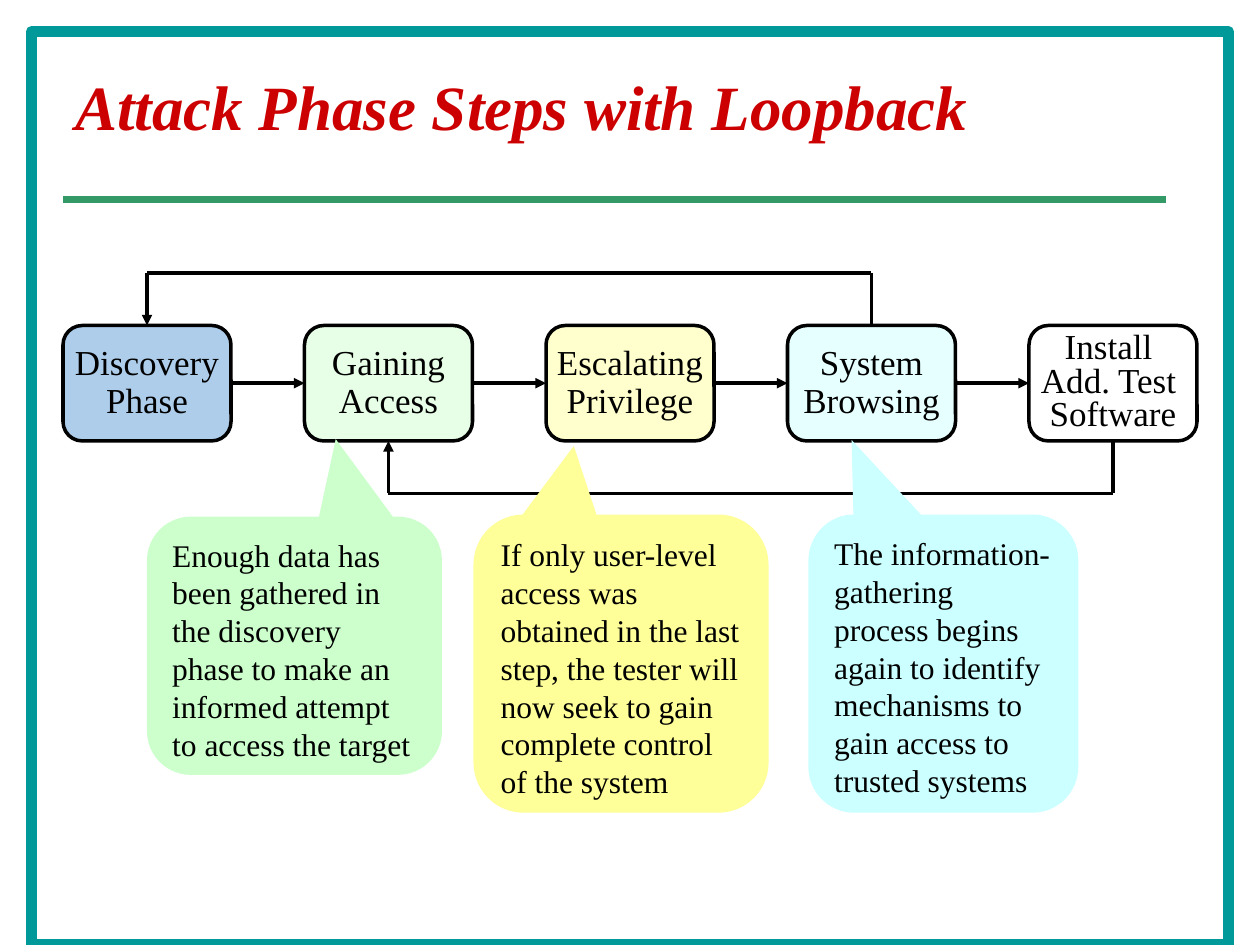
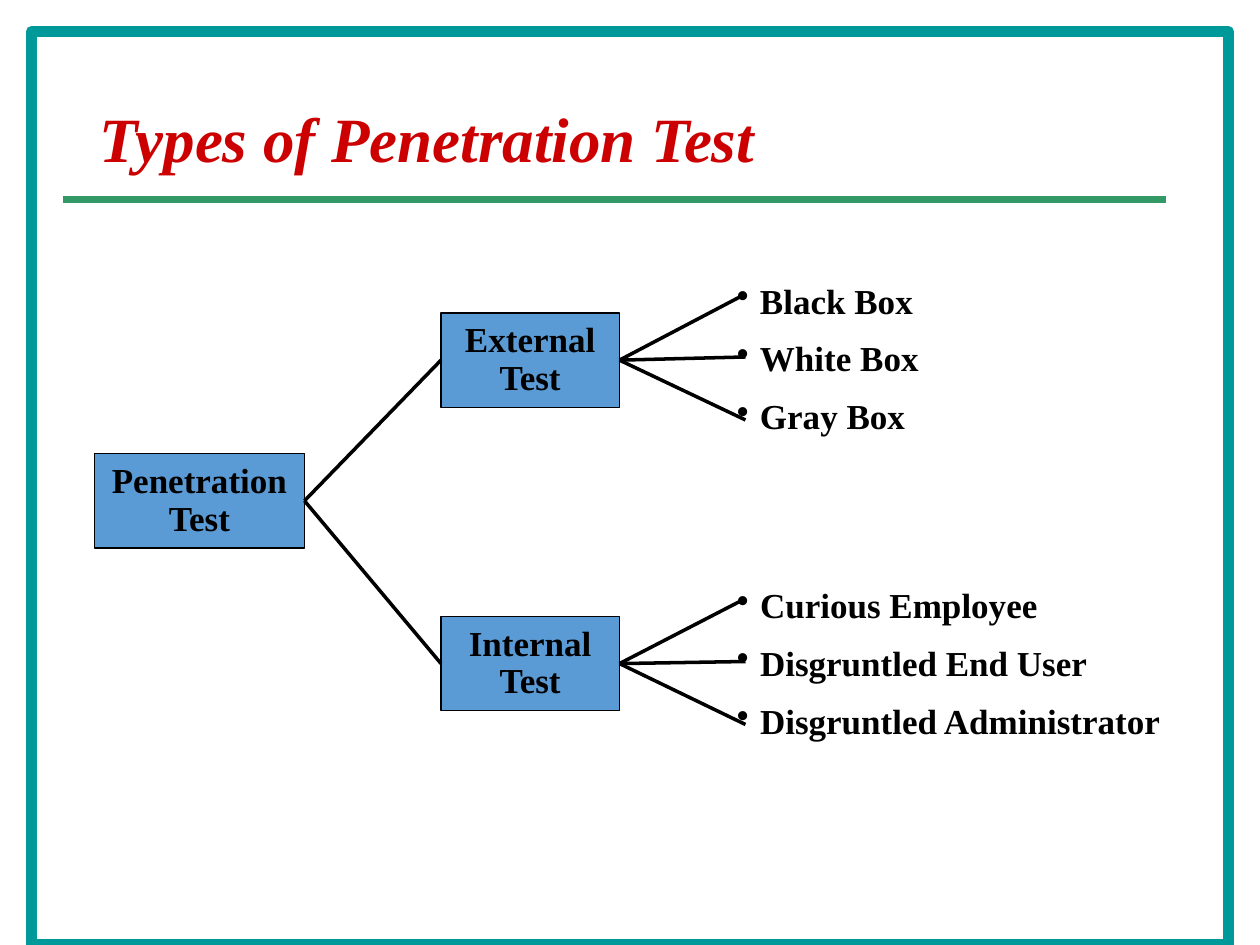
import dataclasses
import typing

import lxml.etree
import pptx
import pptx.dml.color
import pptx.enum.shapes
import pptx.enum.text
import pptx.oxml.ns
import pptx.shapes.autoshape
import pptx.shapes.connector
import pptx.slide
import pptx.util

SCALE = 7620
FONT = "Times New Roman"
COLORS = {
    "frame": "009999", "title": "CC0000", "rule": "339966", "ink": "000000",
    "blue": "5B9BD5", "green": "CCFFCC", "yellow": "FFFF99", "cyan": "CCFFFF",
}
TOP, LEFT, BOTTOM, RIGHT = range(4)
KIND = pptx.enum.shapes.MSO_SHAPE
ALIGN = pptx.enum.text.PP_ALIGN
ANCHOR = pptx.enum.text.MSO_ANCHOR
Slide = pptx.slide.Slide
Shape = pptx.shapes.autoshape.Shape


class Rect(typing.NamedTuple):
    x: int
    y: int
    w: int
    h: int


class Point(typing.NamedTuple):
    x: int
    y: int


class Port(typing.NamedTuple):
    shape: Shape
    side: int


@dataclasses.dataclass
class Style:
    size: int = 20
    color: str = "ink"
    bold: bool = False
    italic: bool = False
    align: ALIGN = ALIGN.LEFT
    spacing: float = 1.0


@dataclasses.dataclass
class Step:
    text: str
    fill: typing.Optional[str]
    spacing: float = 0.9


@dataclasses.dataclass
class Note:
    text: str
    rect: Rect
    fill: str
    tip: tuple[float, float]


@dataclasses.dataclass
class Branch:
    text: str
    top: int
    list_top: int
    width: int
    items: list[str]


STEPS = [
    Step("Discovery\nPhase", "blue"),
    Step("Gaining\nAccess", "green"),
    Step("Escalating\nPrivilege", "yellow"),
    Step("System\nBrowsing", "cyan"),
    Step("Install \nAdd. Test \nSoftware", None, 0.8),
]
NOTES = [
    Note("Enough data has been gathered in the discovery phase to make an "
         "informed attempt to access the target",
         Rect(140, 492, 281, 246), "green", (0.14, -0.8)),
    Note("If only user-level access was obtained in the last step, the tester "
         "will now seek to gain complete control of the system",
         Rect(451, 490, 281, 284), "yellow", (-0.16, -0.73)),
    Note("The information-gathering process begins again to identify "
         "mechanisms to gain access to trusted systems",
         Rect(770, 490, 257, 284), "cyan", (-0.34, -0.75)),
]
BRANCHES = [
    Branch("External\nTest", 298, 260, 197,
           ["Black Box", "White Box", "Gray Box"]),
    Branch("Internal\nTest", 587, 550, 428,
           ["Curious Employee", "Disgruntled End User",
            "Disgruntled Administrator"]),
]


def px(*sizes: int) -> list[pptx.util.Emu]:
    return [pptx.util.Emu(size * SCALE) for size in sizes]


def paint(name: str) -> pptx.dml.color.RGBColor:
    return pptx.dml.color.RGBColor.from_string(COLORS[name])


def child(node: typing.Any, tag: str, **attrs: str) -> None:
    lxml.etree.SubElement(node, pptx.oxml.ns.qn(tag), attrs)


def write(shape: Shape, text: str, style: Style, wrap: bool = True) -> None:
    frame = shape.text_frame
    frame.text = text
    frame.word_wrap = wrap
    for para in frame.paragraphs:
        para.alignment = style.align
        para.line_spacing = style.spacing
        for run in para.runs:
            font = run.font
            font.name = FONT
            font.size = pptx.util.Pt(style.size)
            font.bold = style.bold
            font.italic = style.italic
            font.color.rgb = paint(style.color)


def draw(slide: Slide, kind: KIND, rect: Rect, fill: typing.Optional[str],
         line: typing.Optional[str] = None, width: float = 0) -> Shape:
    shape = slide.shapes.add_shape(kind, *px(*rect))
    shape.shadow.inherit = False
    if fill:
        shape.fill.solid()
        shape.fill.fore_color.rgb = paint(fill)
    else:
        shape.fill.background()
    if line:
        shape.line.color.rgb = paint(line)
        shape.line.width = pptx.util.Pt(width)
    else:
        shape.line.fill.background()
    return shape


def label(shape: Shape, text: str, bold: bool, spacing: float = 0.9) -> None:
    style = Style(bold=bold, align=ALIGN.CENTER, spacing=spacing)
    write(shape, text, style, wrap=False)
    shape.text_frame.vertical_anchor = ANCHOR.MIDDLE


def spot(end: Point | Port) -> list[int]:
    if isinstance(end, Point):
        return px(*end)
    box = end.shape
    across = {LEFT: 0, RIGHT: box.width}.get(end.side, box.width // 2)
    down = {TOP: 0, BOTTOM: box.height}.get(end.side, box.height // 2)
    return [box.left + across, box.top + down]


def link(slide: Slide, start: Point | Port, end: Point | Port,
         arrow: bool = False, color: str = "ink", width: float = 2) -> None:
    line = slide.shapes.add_connector(
        pptx.enum.shapes.MSO_CONNECTOR.STRAIGHT, *spot(start), *spot(end))
    if isinstance(start, Port):
        line.begin_connect(*start)
    if isinstance(end, Port):
        line.end_connect(*end)
    line.line.color.rgb = paint(color)
    line.line.width = pptx.util.Pt(width)
    if arrow:
        child(line.line._get_or_add_ln(), "a:tailEnd", type="triangle")
    child(line._element.spPr, "a:effectLst")


def start(deck: typing.Any, title: str, rect: Rect) -> Slide:
    slide = deck.slides.add_slide(deck.slide_layouts[6])
    draw(slide, KIND.RECTANGLE, Rect(30, 30, 1140, 870), None, "frame", 6.25)
    box = slide.shapes.add_textbox(*px(*rect))
    style = Style(36, "title", bold=True, italic=True, spacing=0.9)
    write(box, title, style)
    box.text_frame.vertical_anchor = ANCHOR.MIDDLE
    link(slide, Point(60, 190), Point(1110, 190), color="rule", width=4)
    return slide


def loop(slide: Slide, source: Port, target: Port, level: int) -> None:
    turns = [Point(spot(port)[0] // SCALE, level) for port in (source, target)]
    link(slide, source, turns[0])
    link(slide, *turns)
    link(slide, turns[1], target, arrow=True)


def stage(slide: Slide, step: Step, index: int) -> Shape:
    rect = Rect(60 + 230 * index, 310, 160, 110)
    box = draw(slide, KIND.ROUNDED_RECTANGLE, rect, step.fill, "ink", 2)
    if step.fill:
        tint = box._element.spPr.find(
            "/".join(map(pptx.oxml.ns.qn, ("a:solidFill", "a:srgbClr"))))
        child(tint, "a:alpha", val="49000")
    label(box, step.text, False, step.spacing)
    return box


def callout(slide: Slide, note: Note) -> None:
    shape = draw(slide, KIND.ROUNDED_RECTANGULAR_CALLOUT, note.rect, note.fill)
    for index, value in enumerate((*note.tip, 0.17)):
        shape.adjustments[index] = value
    write(shape, note.text, Style(18))
    shape.text_frame.vertical_anchor = ANCHOR.TOP


def node(slide: Slide, text: str, rect: Rect) -> Shape:
    box = draw(slide, KIND.RECTANGLE, rect, "blue", "ink", 0.75)
    label(box, text, True)
    return box


def bullets(slide: Slide, branch: Branch) -> None:
    rect = Rect(690, branch.list_top, branch.width, 164)
    box = slide.shapes.add_textbox(*px(*rect))
    write(box, "\n".join(branch.items), Style(bold=True), wrap=False)
    indent = 22 * SCALE
    for index, para in enumerate(box.text_frame.paragraphs):
        para.space_before = pptx.util.Pt(9 if index else 0)
        props = para._p.get_or_add_pPr()
        props.set("marL", str(indent))
        props.set("indent", str(-indent))
        child(props, "a:buChar", char="•")


def attack(deck: typing.Any) -> None:
    slide = start(deck, "Attack Phase Steps with Loopback",
                  Rect(60, 50, 1080, 110))
    boxes = [stage(slide, step, index) for index, step in enumerate(STEPS)]
    for left, right in zip(boxes, boxes[1:]):
        link(slide, Port(left, RIGHT), Port(right, LEFT), arrow=True)
    loop(slide, Port(boxes[3], TOP), Port(boxes[0], TOP), 260)
    loop(slide, Port(boxes[4], BOTTOM), Port(boxes[1], BOTTOM), 470)
    for note in NOTES:
        callout(slide, note)


def types(deck: typing.Any) -> None:
    slide = start(deck, "Types of Penetration Test", Rect(83, 48, 1034, 174))
    root = node(slide, "Penetration\nTest", Rect(90, 432, 200, 90))
    for branch in BRANCHES:
        box = node(slide, branch.text, Rect(420, branch.top, 170, 90))
        bullets(slide, branch)
        link(slide, Port(root, RIGHT), Port(box, LEFT))
        for row in range(3):
            tip = Point(710, branch.list_top + 20 + 60 * row)
            link(slide, Port(box, RIGHT), tip)


def main() -> None:
    deck = pptx.Presentation()
    deck.slide_width, deck.slide_height = px(1200, 900)
    attack(deck)
    types(deck)
    deck.save("out.pptx")


if __name__ == "__main__":
    main()
